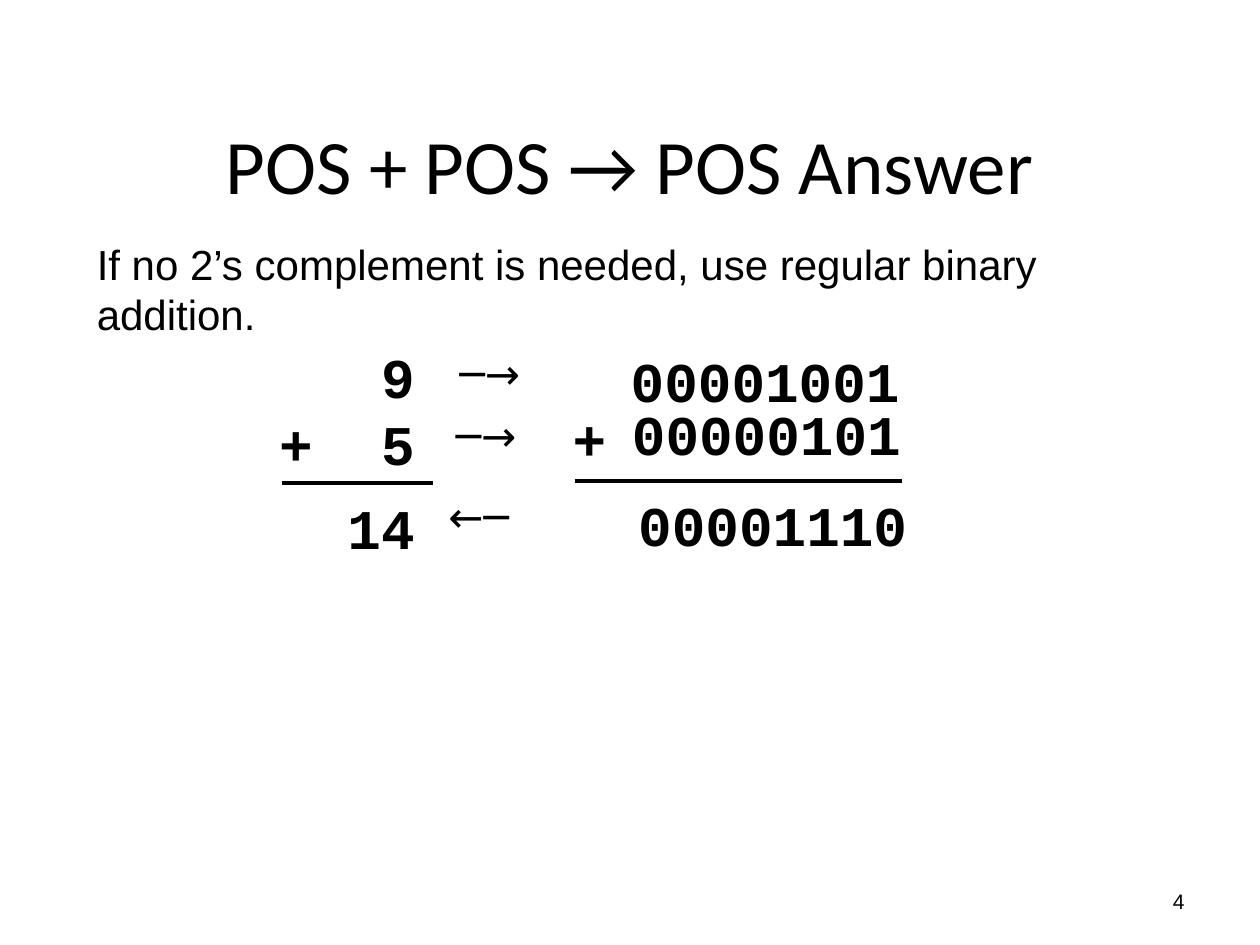
from lxml import etree
from pptx import Presentation
from pptx.dml.color import RGBColor
from pptx.enum.shapes import MSO_CONNECTOR
from pptx.enum.text import MSO_ANCHOR, PP_ALIGN
from pptx.oxml.ns import qn
from pptx.util import Inches, Pt

LEFT, CENTER, RIGHT = PP_ALIGN.LEFT, PP_ALIGN.CENTER, PP_ALIGN.RIGHT
TOP, MIDDLE = MSO_ANCHOR.TOP, MSO_ANCHOR.MIDDLE
STRAIGHT = MSO_CONNECTOR.STRAIGHT
COLUMNS, ROWS = 100, 75  # grid units across and down the slide
BLACK = "000000"

TITLE = {"name": "Calibri", "size": Pt(44)}
BODY = {"name": "Arial", "size": Pt(24)}
FOOTER = {"name": "Arial", "size": Pt(12)}
DIGITS = {"name": "Courier New", "size": Pt(32), "bold": True}
ARROW = {"name": "Cabin", "size": Pt(24)}


def color(hex_string):
    return RGBColor.from_string(hex_string)


class SlideBuilder:
    """Holds the style and the current slide; places are in grid units."""

    def __init__(self, deck, ink=BLACK, rule_width=2.25):
        self.ink, self.rule_width = color(ink), Pt(rule_width)
        self.column = deck.slide_width / COLUMNS
        self.row = deck.slide_height / ROWS
        self.slide = deck.slides.add_slide(deck.slide_layouts[6])

    def place(self, across, down):
        return round(across * self.column), round(down * self.row)

    def text(self, words, left, top, width, height, font,
             align=LEFT, anchor=TOP):
        box = self.slide.shapes.add_textbox(
            *self.place(left, top), *self.place(width, height))
        frame = box.text_frame
        frame.word_wrap, frame.vertical_anchor = True, anchor
        paragraph = frame.paragraphs[0]
        paragraph.alignment = align
        run = paragraph.add_run()
        run.text = words
        for attribute, value in font.items():
            setattr(run.font, attribute, value)
        run.font.color.rgb = self.ink

    def rule(self, left, right, level):
        line = self.slide.shapes.add_connector(
            STRAIGHT, *self.place(left, level), *self.place(right, level))
        line.line.width, line.line.color.rgb = self.rule_width, self.ink
        etree.SubElement(line._element.spPr, qn("a:effectLst"))


def main():
    deck = Presentation()
    deck.slide_width, deck.slide_height = Inches(10), Inches(7.5)
    page = SlideBuilder(deck)

    # Heading, explanation and page number
    page.text("POS + POS → POS Answer", 5, 6.7, 90, 12.5, TITLE, CENTER, MIDDLE)
    page.text("If no 2’s complement is needed, use regular binary addition.",
              6.7, 18.4, 86.7, 9.1, BODY)
    page.text("4", 71.7, 69.5, 23.3, 4, FOOTER, RIGHT, MIDDLE)

    # Numbers and plus signs: text, right edge, top, width
    for number, right, top, width in [
        ("9", 33.9, 26.7, 10), ("5", 33.9, 32, 10), ("14", 33.9, 38.7, 10),
        ("00001001", 72.4, 27, 25), ("00000101", 72.5, 31.2, 26.7),
        ("00001110", 73, 38.4, 25),
        ("+", 25.8, 32, 5.8), ("+", 49.1, 31.6, 5.8),
    ]:
        page.text(number, right - width, top, width, 6.4, DIGITS, RIGHT)

    # Arrows between decimal and binary
    for arrow, left, top in [("─→", 35.5, 27.1), ("─→", 35.2, 32),
                             ("←─", 34.6, 38.4)]:
        page.text(arrow, left, top, 8.6, 5.1, ARROW)

    # Sum rules
    page.rule(22.4, 34.4, 38.3)
    page.rule(45.6, 71.6, 38.2)

    deck.save("out.pptx")


if __name__ == "__main__":
    main()
